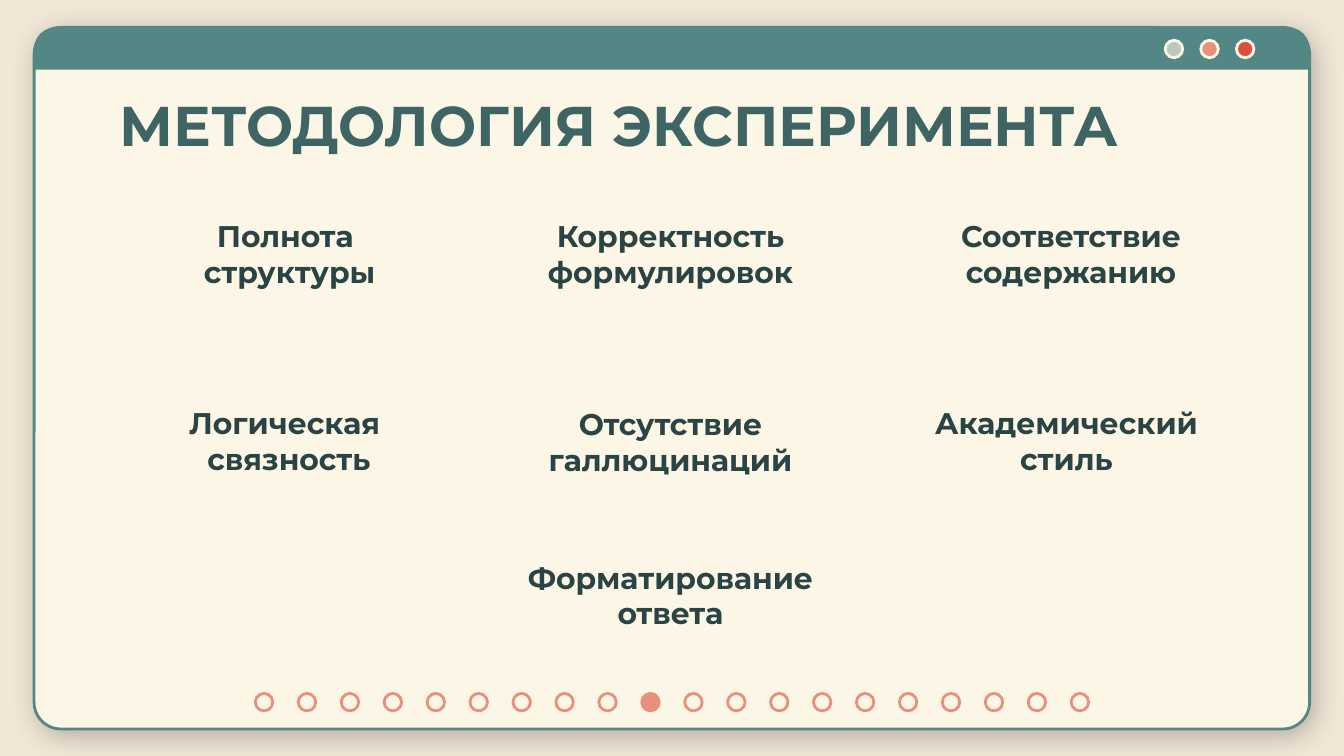
from dataclasses import dataclass

from lxml.etree import SubElement
from pptx import Presentation
from pptx.dml.color import RGBColor
from pptx.enum.shapes import MSO_SHAPE as Preset
from pptx.enum.text import MSO_ANCHOR as Anchor, MSO_AUTO_SIZE as AutoSize, PP_ALIGN as Align
from pptx.oxml.ns import qn
from pptx.shapes.autoshape import Shape
from pptx.slide import Slide
from pptx.util import Inches, Pt

CELL = 0.1
COLUMNS, ROWS = 100, 56.25


@dataclass(frozen=True)
class Theme:
    font: str = "Montserrat"
    backdrop: str = "F1E7D6"
    paper: str = "FCF6E7"
    frame: str = "538786"
    title: str = "3E6564"
    text: str = "2A4443"
    shadow: str = "24282A"
    coral: str = "E6907D"
    red: str = "DD4F3D"
    sage: str = "BBC8BA"
    title_size: float = 30
    text_size: float = 16
    line_width: float = 1.5


@dataclass(frozen=True)
class Box:
    column: float
    row: float
    columns: float = 25.5
    rows: float = 5


@dataclass(frozen=True)
class Criterion:
    lines: tuple[str, ...]
    box: Box


THEME = Theme()
WINDOW = Box(2.54, 2.04, 94.9, 52.2)
TITLE_BAR = Box(2.54, 2.04, 94.9, 3.15)
TITLE_BOX = Box(7.9, 5.75, 84.3, 6.3)
DOT = 1.3
BUTTON_COLORS = (THEME.sage, THEME.coral, THEME.red)
PAGE_COUNT, CURRENT_PAGE = 20, 9
FIRST_PAGE_COLUMN, LAST_PAGE_COLUMN = 19, 79.7

COMPLETENESS = Criterion(("Полнота ", "структуры"), Box(8.8, 17.54))
OTHER_CRITERIA = (
    Criterion(("Корректность формулировок",), Box(37.14, 17.54)),
    Criterion(("Отсутствие галлюцинаций",), Box(37.14, 31.53)),
    Criterion(("Логическая ", "связность"), Box(6, 31.44, 31)),
    Criterion(("Соответствие содержанию",), Box(66.94, 17.54)),
    Criterion(("Академический стиль",), Box(66.6, 31.44)),
    Criterion(("Форматирование ответа",), Box(37.14, 42.94)),
)


def lengths(box: Box) -> list[int]:
    return [Inches(cells * CELL) for cells in (box.column, box.row, box.columns, box.rows)]


def color(value: str) -> RGBColor:
    return RGBColor.from_string(value)


def draw_shape(slide: Slide, preset: Preset, box: Box, fill: str,
               line: str | None = None, adjustments: tuple[float, ...] = ()) -> Shape:
    shape = slide.shapes.add_shape(preset, *lengths(box))
    shape.shadow.inherit = False
    shape.fill.solid()
    shape.fill.fore_color.rgb = color(fill)
    if line:
        shape.line.color.rgb = color(line)
        shape.line.width = Pt(THEME.line_width)
    else:
        shape.line.fill.background()
    for index, value in enumerate(adjustments):
        shape.adjustments[index] = value
    return shape


def add_shadow(shape: Shape) -> None:
    effects = shape._element.spPr.find(qn("a:effectLst"))
    shadow = SubElement(effects, qn("a:outerShdw"), blurRad=str(Pt(14.6)), dist=str(Pt(3.8)),
                        dir=str(50 * 60000), algn="bl", rotWithShape="0")
    tint = SubElement(shadow, qn("a:srgbClr"), val=THEME.shadow)
    SubElement(tint, qn("a:alpha"), val="30000")


def draw_window(slide: Slide) -> None:
    window = draw_shape(slide, Preset.ROUNDED_RECTANGLE, WINDOW, THEME.paper, THEME.frame, (0.038,))
    add_shadow(window)
    draw_shape(slide, Preset.ROUND_2_SAME_RECTANGLE, TITLE_BAR, THEME.frame, adjustments=(0.5, 0))
    for index, fill in enumerate(BUTTON_COLORS):
        draw_shape(slide, Preset.OVAL, Box(86.7 + 2.65 * index, 3, DOT, DOT), fill, THEME.paper)


def draw_pages(slide: Slide) -> None:
    step = (LAST_PAGE_COLUMN - FIRST_PAGE_COLUMN) / (PAGE_COUNT - 1)
    for index in range(PAGE_COUNT):
        fill = THEME.coral if index == CURRENT_PAGE else THEME.paper
        box = Box(FIRST_PAGE_COLUMN + step * index, 51.6, DOT, DOT)
        draw_shape(slide, Preset.OVAL, box, fill, THEME.coral)


def write_text(shape: Shape, lines: tuple[str, ...], box: Box, size: float, ink: str,
               align: Align, anchor: Anchor) -> None:
    shape.left, shape.top, shape.width, shape.height = lengths(box)
    frame = shape.text_frame
    frame.text = "\n".join(lines)
    frame.word_wrap = True
    frame.auto_size = AutoSize.NONE
    frame.vertical_anchor = anchor
    frame.margin_left = frame.margin_right = Inches(CELL)
    frame.margin_top = frame.margin_bottom = Inches(CELL)
    for paragraph in frame.paragraphs:
        paragraph.alignment = align
        paragraph.space_before = Pt(0)
        for run in paragraph.runs:
            run.font.name = THEME.font
            run.font.size = Pt(size)
            run.font.bold = True
            run.font.color.rgb = color(ink)


def write_criterion(shape: Shape, criterion: Criterion) -> None:
    write_text(shape, criterion.lines, criterion.box, THEME.text_size, THEME.text,
               Align.CENTER, Anchor.BOTTOM)


def main() -> None:
    presentation = Presentation()
    presentation.slide_width = Inches(COLUMNS * CELL)
    presentation.slide_height = Inches(ROWS * CELL)
    slide = presentation.slides.add_slide(presentation.slide_layouts[0])
    slide.background.fill.solid()
    slide.background.fill.fore_color.rgb = color(THEME.backdrop)
    title, subtitle = slide.placeholders

    draw_window(slide)
    for placeholder in (title, subtitle):
        slide.shapes._spTree.append(placeholder._element)
    write_text(title, ("МЕТОДОЛОГИЯ ЭКСПЕРИМЕНТА",), TITLE_BOX, THEME.title_size, THEME.title,
               Align.LEFT, Anchor.TOP)
    write_criterion(subtitle, COMPLETENESS)
    draw_pages(slide)
    for criterion in OTHER_CRITERIA:
        write_criterion(slide.shapes.add_textbox(*lengths(criterion.box)), criterion)
    presentation.save("out.pptx")


if __name__ == "__main__":
    main()
